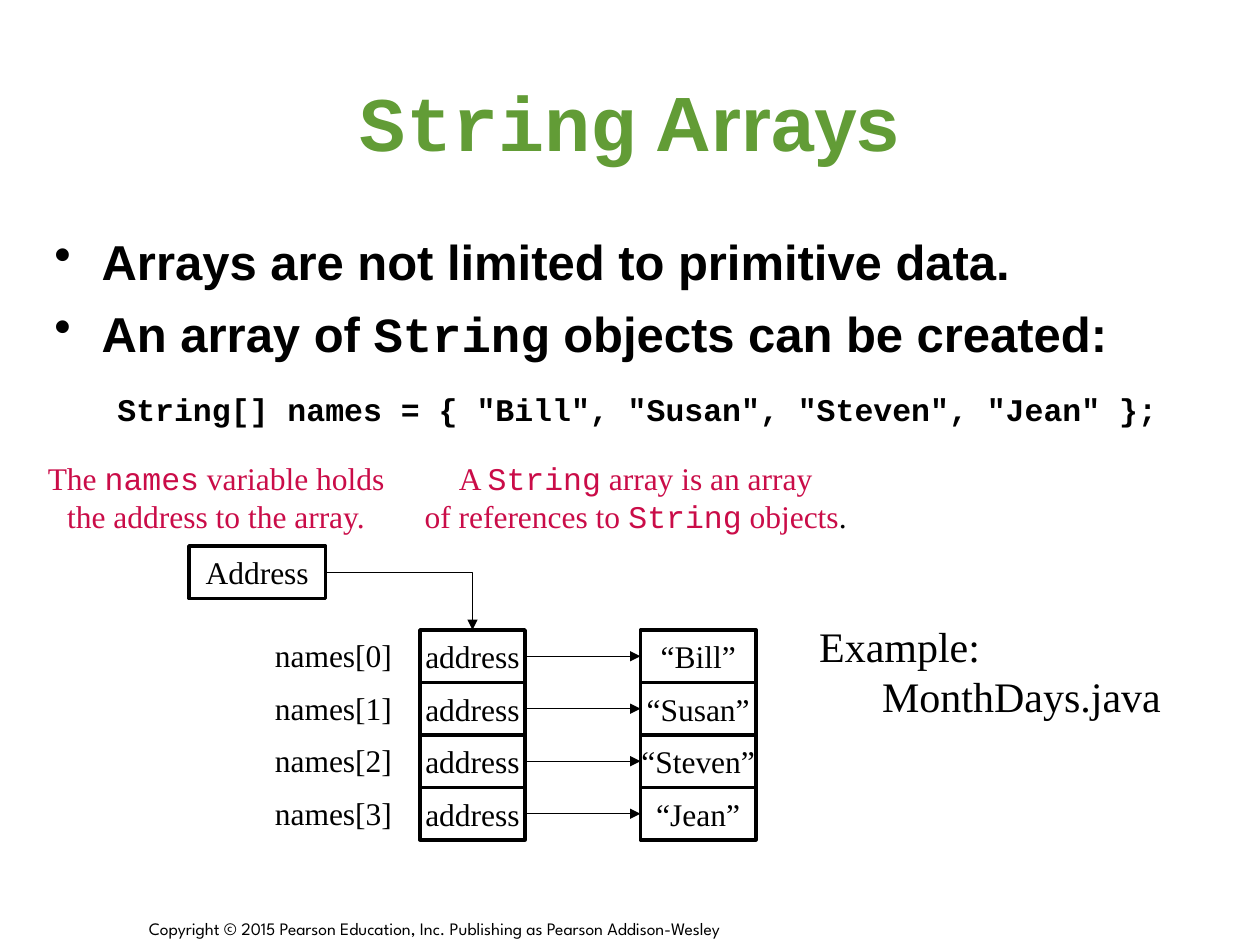
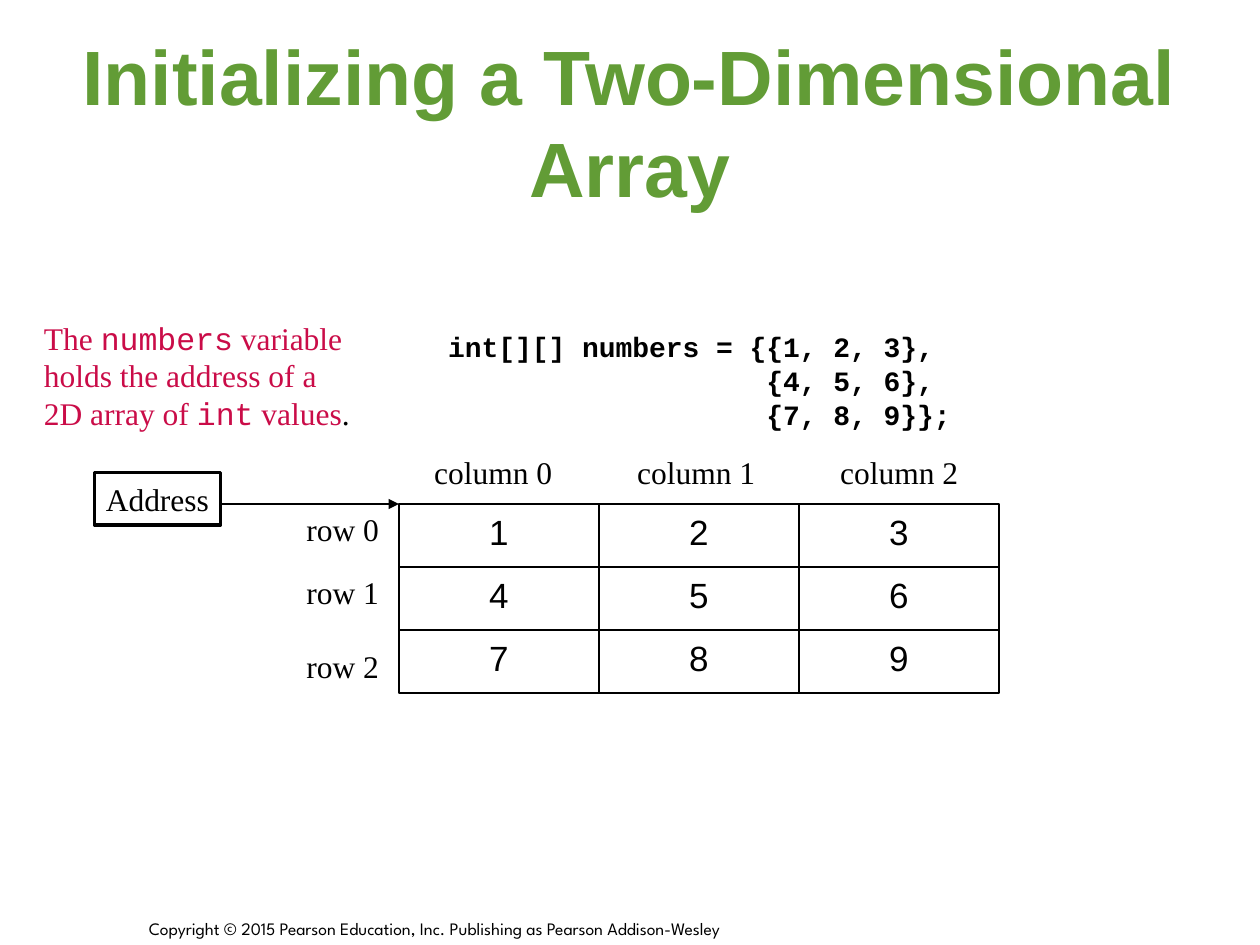
from lxml import etree
from pptx import Presentation
from pptx import util as u
from pptx.dml.color import RGBColor
from pptx.enum import shapes, text
from pptx.oxml import ns


class Theme:
    green = RGBColor.from_string("629C36")
    red = RGBColor.from_string("CA0C48")
    black = RGBColor.from_string("000000")
    white = RGBColor.from_string("FFFFFF")
    sans, serif, mono, foot = "Arial", "Times New Roman", "Courier New", "League Spartan"
    title, bullet, example, cell, body, code, small = 44, 28, 24, 20, 18, 16, 10
    thick, thin, hair = 2, 1, 0.75


LEFT, MID = text.PP_ALIGN.LEFT, text.PP_ALIGN.CENTER
TOP, CENTRE, BASE = text.MSO_ANCHOR.TOP, text.MSO_ANCHOR.MIDDLE, text.MSO_ANCHOR.BOTTOM
STRAIGHT, ELBOW = shapes.MSO_CONNECTOR.STRAIGHT, shapes.MSO_CONNECTOR.ELBOW


def put(slide, lines, at, size=Theme.body, face=Theme.serif, color=Theme.black,
        bold=False, align=LEFT, anchor=TOP, wrap=False, edge=0):
    place = [u.Pt(n) for n in at]
    if edge:
        box = slide.shapes.add_shape(shapes.MSO_SHAPE.RECTANGLE, *place)
        box.shadow.inherit = False
        box.fill.solid()
        box.fill.fore_color.rgb = Theme.white
        box.line.color.rgb = Theme.black
        box.line.width = u.Pt(edge)
    else:
        box = slide.shapes.add_textbox(*place)
    frame = box.text_frame
    frame.word_wrap = wrap
    frame.vertical_anchor = anchor
    for i, line in enumerate(lines):
        para = frame.add_paragraph() if i else frame.paragraphs[0]
        para.alignment = align
        if line.startswith("• "):
            line = line[2:]
            props = para._p.get_or_add_pPr()
            props.set("marL", str(u.Pt(27)))
            props.set("indent", str(u.Pt(-27)))
            etree.SubElement(props, ns.qn("a:buChar"), char="•")
            if i:
                para.space_before = u.Pt(7)
        first, *rest = line.split("`")
        para.text = first
        for k, piece in enumerate(rest):
            run = para.add_run()
            run.text = piece
            run.font.name = face if k % 2 else Theme.mono
        font = para.font
        font.size, font.name, font.bold = u.Pt(size), face, bold
        font.color.rgb = color
    return box


def arrow(slide, kind, *ends):
    link = slide.shapes.add_connector(kind, *[u.Pt(n) for n in ends])
    link.line.color.rgb = Theme.black
    link.line.width = u.Pt(Theme.hair)
    etree.SubElement(link.line._get_or_add_ln(), ns.qn("a:tailEnd"), type="triangle")
    etree.SubElement(link._element.spPr, ns.qn("a:effectLst"))
    return link


deck = Presentation()
deck.slide_width, deck.slide_height = u.Pt(720), u.Pt(540)
pages = []
for title in ("`String` Arrays", "Initializing a Two-Dimensional Array"):
    page = deck.slides.add_slide(deck.slide_layouts[6])
    put(page, ["Copyright © 2015 Pearson Education, Inc. Publishing as Pearson Addison-Wesley"],
        (78, 516, 515.5, 24), Theme.small, Theme.foot, anchor=BASE, wrap=True)
    put(page, [title], (36, 24, 648, 90), Theme.title, Theme.sans, Theme.green,
        True, MID, CENTRE, True)
    pages.append(page)
names, grid = pages

points = put(names, ["• Arrays are not limited to primitive data.",
                     "• An array of `String` objects can be created:"],
             (24, 129, 653, 130), Theme.bullet, Theme.sans, bold=True, wrap=True)
code = points.text_frame.add_paragraph()
code.text = 'String[] names = { "Bill", "Susan", "Steven", "Jean" };'
code.space_before = u.Pt(16)
code._p.get_or_add_pPr().set("marL", str(u.Pt(36)))
code.font.size, code.font.name, code.font.bold = u.Pt(Theme.body), Theme.mono, True
code.font.color.rgb = Theme.black

put(names, ["The `names` variable holds", "the address to the array."],
    (20, 259, 207, 50.5), color=Theme.red, align=MID)
refs = put(names, ["A `String` array is an array", "of references to `String` objects"],
           (235.5, 259, 255.5, 50.5), color=Theme.red, align=MID)

start = put(names, ["Address"], (108, 312, 78, 30),
            align=MID, anchor=CENTRE, edge=Theme.thick)
for i, name in enumerate(("Bill", "Susan", "Steven", "Jean")):
    y = 360 + 30 * i
    put(names, [f"names[{i}]"], (150, y, 91.5, 29), wrap=True)
    slot, value = [put(names, [word], (x, y, w, 30), align=MID, anchor=CENTRE,
                       edge=Theme.thick)
                   for word, x, w in (("address", 240, 60), (f"“{name}”", 366, 66))]
    link = arrow(names, STRAIGHT, 300, y + 15, 366, y + 15)
    link.begin_connect(slot, 3)
    link.end_connect(value, 1)
    if i == 0:
        bend = arrow(names, ELBOW, 186, 327, 270, 360)
        bend.begin_connect(start, 3)
        bend.end_connect(slot, 0)
        bend._element.spPr.find(ns.qn("a:prstGeom")).set("prst", "bentConnector2")

sample = put(names, ["Example:\vMonthDays.java"], (461, 351, 209.5, 65), Theme.example)
props = sample.text_frame.paragraphs[0]._p.get_or_add_pPr()
props.set("marL", str(u.Pt(36)))
props.set("indent", str(u.Pt(-36)))

holds = put(grid, ["The `numbers` variable", "holds the address of a",
                   "2D array of `int` values"], (18, 178.5, 189.5, 72), color=Theme.red)
for note in (refs, holds):
    stop = note.text_frame.paragraphs[-1].add_run()
    stop.text = "."
    stop.font.color.rgb = Theme.black

put(grid, ["int[][] numbers = {{1, 2, 3},",
           "                   {4, 5, 6},",
           "                   {7, 8, 9}};"],
    (249, 185, 301.5, 65), Theme.code, Theme.mono, bold=True)
put(grid, ["Address"], (54, 270, 72, 30), align=MID, anchor=CENTRE, edge=Theme.thick)
for row, y in enumerate((288, 324, 366)):
    put(grid, [f"row {row}"], (168, y, 56, 29))
    put(grid, [f"column {row}"], (241 + 116 * row, 255.5, 82, 29))
    for col in range(3):
        cell = put(grid, [str(3 * row + col + 1)],
                   (228 + 114.25 * col, 288 + 36 * row, 114.25, 36),
                   Theme.cell, Theme.sans, align=MID, wrap=True, edge=Theme.thin)
        cell.fill.background()
arrow(grid, STRAIGHT, 126, 288, 228, 288)

deck.save("out.pptx")
